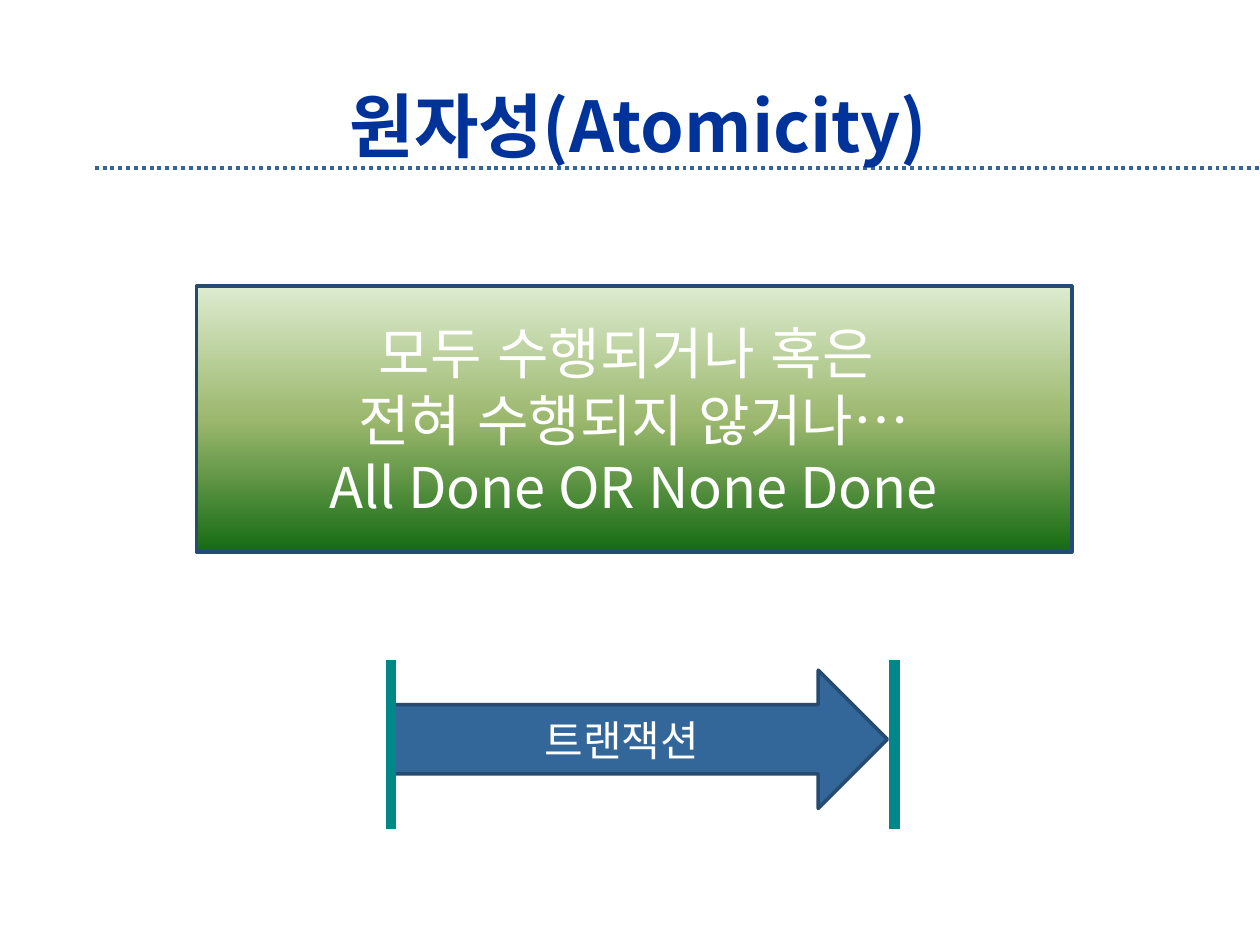
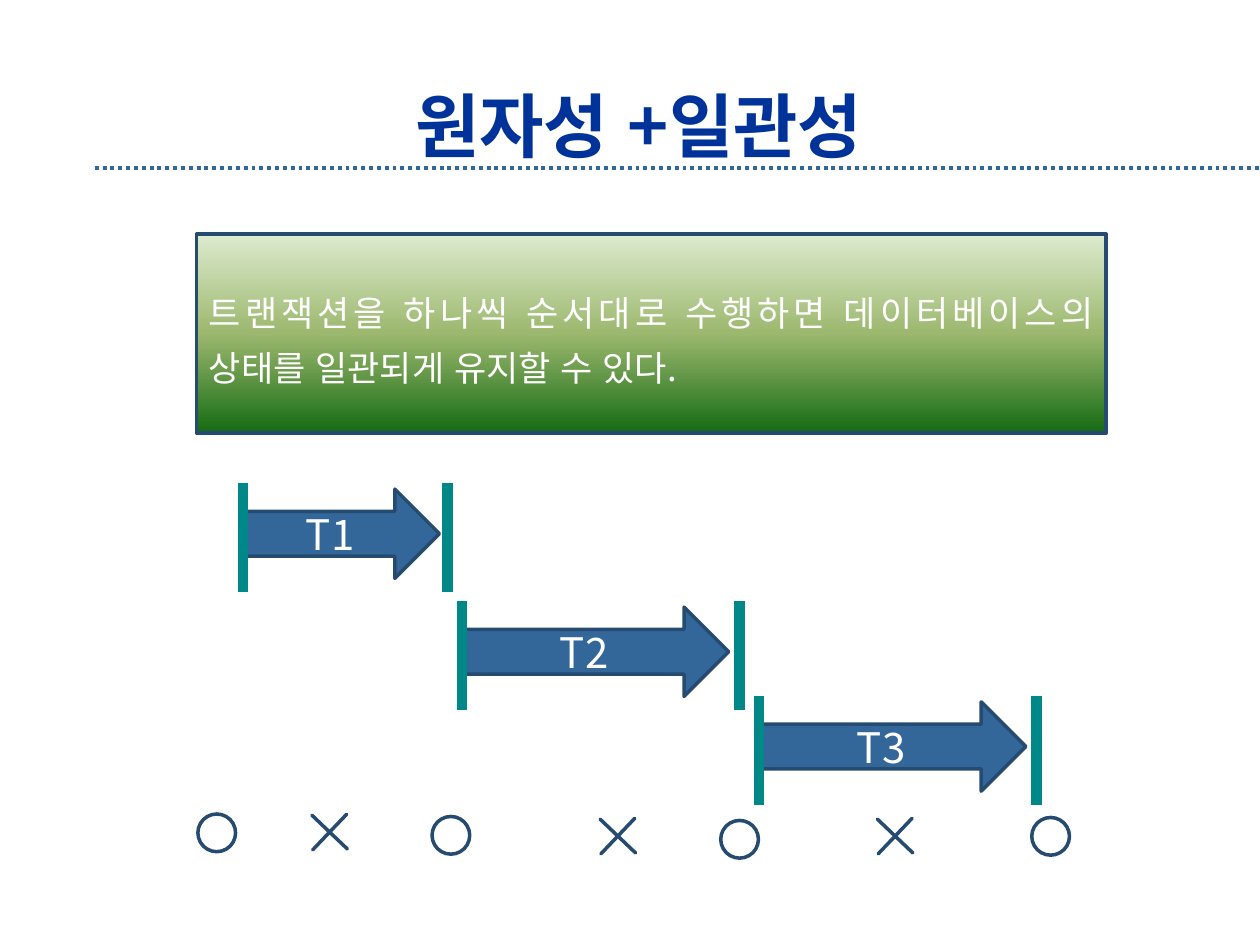
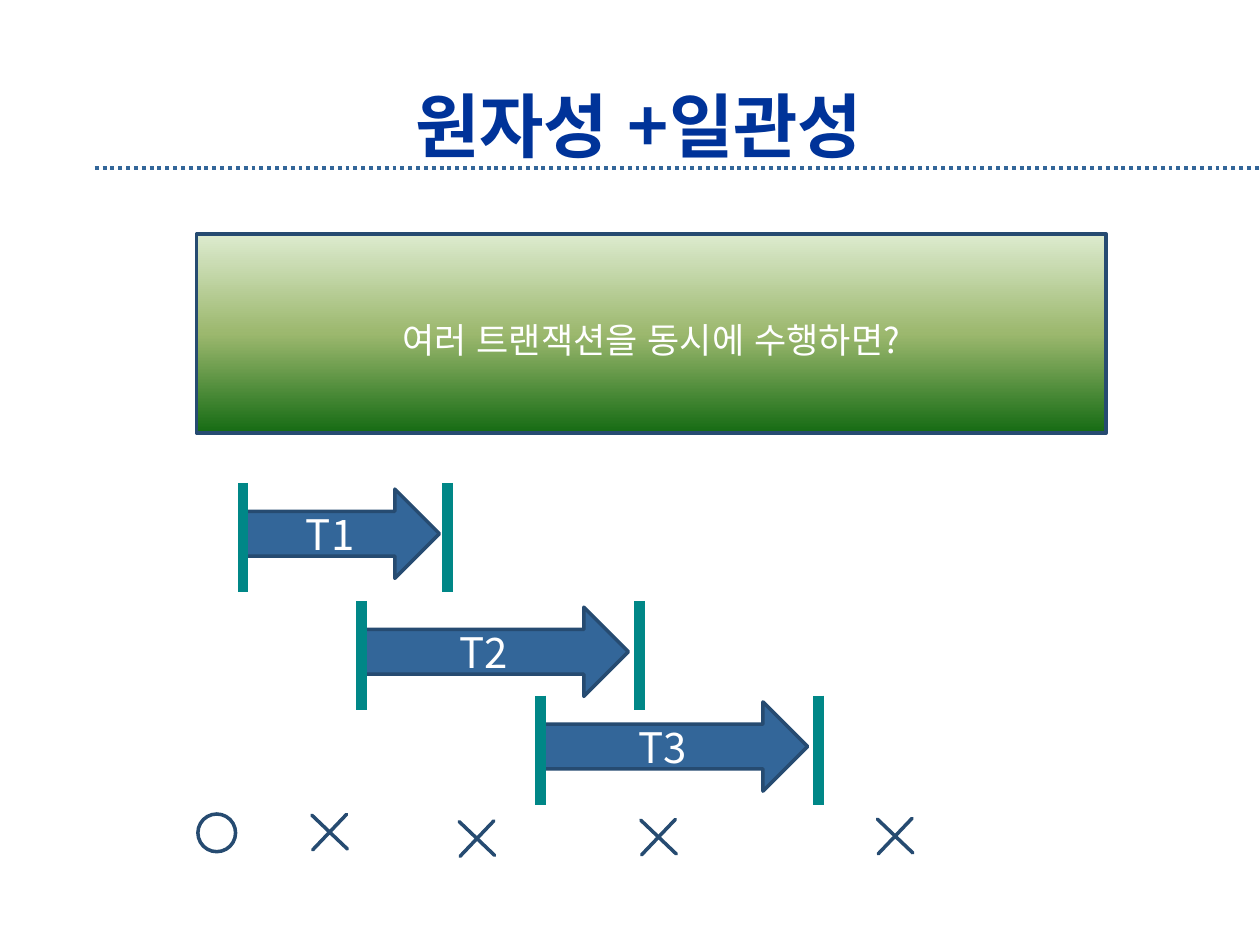
from copy import deepcopy
from dataclasses import dataclass

from lxml.etree import SubElement
from pptx import Presentation
from pptx.dml.color import RGBColor
from pptx.enum.dml import MSO_LINE
from pptx.enum.lang import MSO_LANGUAGE_ID
from pptx.enum.shapes import MSO_CONNECTOR, MSO_SHAPE
from pptx.enum.text import MSO_ANCHOR, MSO_AUTO_SIZE, PP_ALIGN
from pptx.oxml.ns import qn
from pptx.util import Cm, Pt


@dataclass(frozen=True)
class Theme:
    font = "Noto Sans CJK KR"
    title = RGBColor.from_string("003399")
    text = RGBColor.from_string("FFFFFF")
    blue = RGBColor.from_string("336699")
    outline = RGBColor.from_string("264B71")
    teal = RGBColor.from_string("008787")
    gradient = ((0, "DDEBCF"), (0.5, "9CB86E"), (1, "156B13"))
    title_size = 40
    slogan_size = 32
    label_size = 24
    note_size = 20


theme = Theme()


def write(frame, lines, size, color=theme.text, align=PP_ALIGN.CENTER, bold=False, spacing=1.0):
    for index, line in enumerate(lines):
        para = frame.add_paragraph() if index else frame.paragraphs[0]
        para.alignment = align
        para.line_spacing = spacing
        span = para.add_run()
        span.text = line
        span.font.name = theme.font
        span.font.size = Pt(size)
        span.font.bold = bold
        span.font.color.rgb = color
        span.font.language_id = MSO_LANGUAGE_ID.KOREAN
        SubElement(span.font._element, qn("a:ea"), typeface=theme.font)


def add_figure(shapes, kind, left, top, width, height, fill=None):
    figure = shapes.add_shape(kind, Cm(left), Cm(top), Cm(width), Cm(height))
    figure.shadow.inherit = False
    figure.line.color.rgb = theme.outline
    figure.line.width = Pt(2)
    if fill is None:
        figure.fill.background()
    else:
        figure.fill.solid()
        figure.fill.fore_color.rgb = fill
    return figure


note_panel = (3.96, 4.72, 18.34, 4.01)
first_transaction = ("T1", 4.9, 9.86, 3.96, 4.12, 1.8)

slides = [
    {
        "title": "원자성(Atomicity)",
        "panel": (3.96, 5.77, 17.65, 5.36),
        "lines": ["모두 수행되거나 혹은 ", "전혀 수행되지 않거나…", "All Done OR None Done"],
        "style": {"size": theme.slogan_size},
        "transactions": [("트랜잭션", 7.88, 13.51, 10.01, 10.15, 2.79)],
        "circles": [],
        "crosses": [],
    },
    {
        "title": "원자성 +일관성",
        "panel": note_panel,
        "lines": ["트랜잭션을 하나씩 순서대로 수행하면 데이터베이스의 상태를 일관되게 유지할 수 있다."],
        "style": {"size": theme.note_size, "align": PP_ALIGN.JUSTIFY, "spacing": 1.3},
        "transactions": [
            first_transaction,
            ("T2", 9.31, 12.24, 5.38, 5.6, 1.8),
            ("T3", 15.3, 14.15, 5.38, 5.6, 1.8),
        ],
        "circles": [(3.99, 16.41), (8.71, 16.46), (14.53, 16.54), (20.8, 16.48)],
        "crosses": [(6.15, 16.28), (11.96, 16.36), (17.55, 16.36)],
    },
    {
        "title": "원자성 +일관성",
        "panel": note_panel,
        "lines": ["여러 트랜잭션을 동시에 수행하면?"],
        "style": {"size": theme.note_size, "spacing": 1.3},
        "transactions": [
            first_transaction,
            ("T2", 7.29, 12.24, 5.38, 5.6, 1.8),
            ("T3", 10.9, 14.15, 5.38, 5.6, 1.8),
        ],
        "circles": [(3.99, 16.41)],
        "crosses": [(6.15, 16.28), (9.12, 16.41), (12.78, 16.38), (17.55, 16.36)],
    },
]

deck = Presentation()
deck.slide_width, deck.slide_height = Cm(25.4), Cm(19.05)

layout = deck.slide_layouts.get_by_name("Title Only")
layout_title, *footers = layout.placeholders
for footer in footers:
    layout.shapes.element.remove(footer.element)
layout_title.left, layout_title.top = Cm(1.98), Cm(1.78)
layout_title.width, layout_title.height = Cm(21.79), Cm(1.47)
layout_title.text_frame.auto_size = MSO_AUTO_SIZE.NONE
layout_title.text_frame.vertical_anchor = MSO_ANCHOR.MIDDLE

for number, content in enumerate(slides):
    page = deck.slides.add_slide(layout)
    write(page.shapes.title.text_frame, [content["title"]], theme.title_size, theme.title, bold=True)

    if number == 0:
        rule = page.shapes.add_connector(MSO_CONNECTOR.STRAIGHT, Cm(1.91), Cm(3.38), Cm(25.4), Cm(3.38))
        rule.line.color.rgb = theme.blue
        rule.line.width = Pt(2.25)
        rule.line.dash_style = MSO_LINE.ROUND_DOT
        SubElement(rule.element.spPr, qn("a:effectLst"))
        layout.shapes.element.append(rule.element)

    panel = add_figure(page.shapes, MSO_SHAPE.RECTANGLE, *content["panel"])
    panel.fill.gradient()
    panel.fill.gradient_angle = 270
    stop_list = panel.element.xpath(".//a:gsLst")[0]
    stop_list.append(deepcopy(stop_list[0]))
    for stop, (position, color) in zip(panel.fill.gradient_stops, theme.gradient):
        stop.position = position
        stop.color.rgb = RGBColor.from_string(color)
    write(panel.text_frame, content["lines"], **content["style"])

    for name, start, top, length, duration, height in content["transactions"]:
        group = page.shapes.add_group_shape()
        arrow = add_figure(group.shapes, MSO_SHAPE.RIGHT_ARROW, start, top, length, height, theme.blue)
        write(arrow.text_frame, [name], theme.label_size)
        bar_top = top - 0.07 * height
        bar_bottom = bar_top + 1.22 * height
        for moment in (start, start + duration):
            bar = group.shapes.add_connector(
                MSO_CONNECTOR.STRAIGHT, Cm(moment), Cm(bar_top), Cm(moment), Cm(bar_bottom)
            )
            bar.line.color.rgb = theme.teal
            bar.line.width = Pt(6)
            SubElement(bar.element.spPr, qn("a:effectLst"))

    for left, top in content["circles"]:
        add_figure(page.shapes, MSO_SHAPE.OVAL, left, top, 0.76, 0.76)
    for left, top in content["crosses"]:
        cross = add_figure(page.shapes, MSO_SHAPE.CROSS, left, top, 0.99, 0.99, theme.blue)
        cross.adjustments[0] = 0.5
        cross.rotation = 43.6

deck.save("out.pptx")
